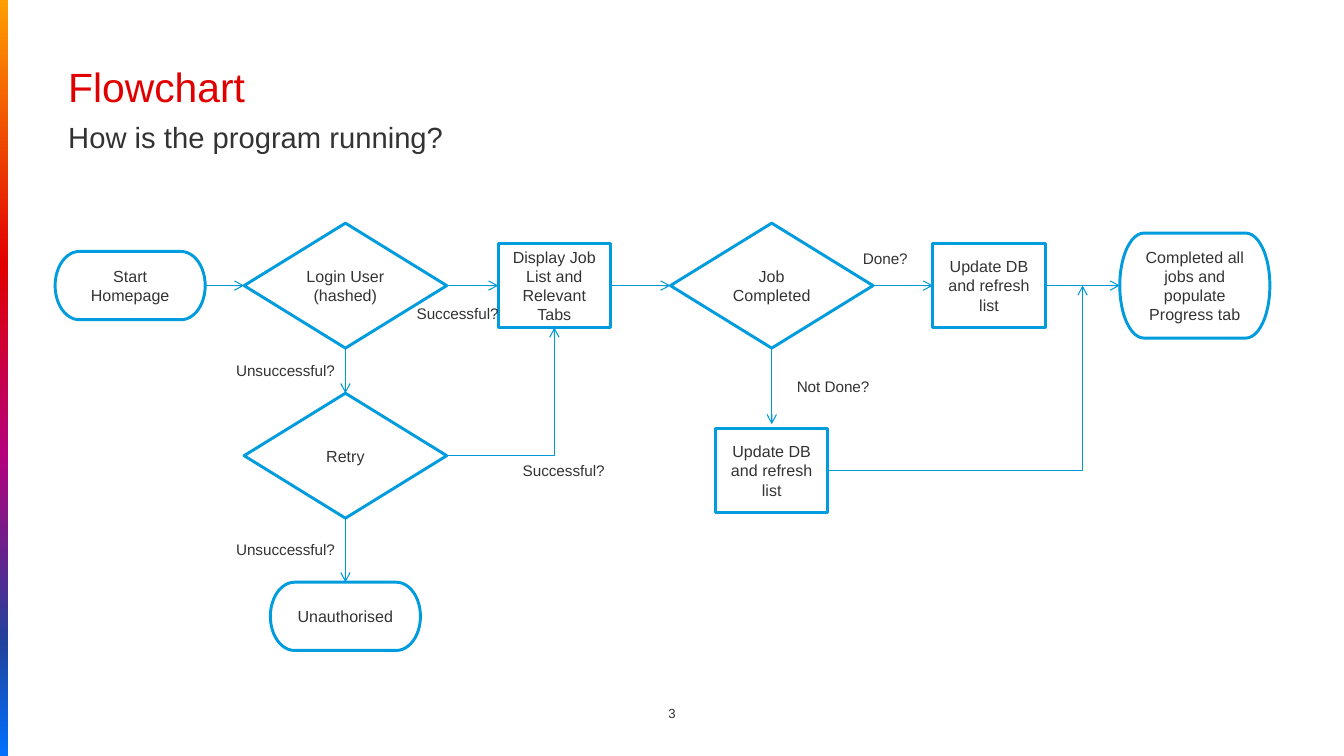
"""Builds the flowchart slide that shows how the program runs."""
import pptx
import pptx.dml.color
import pptx.enum.shapes
import pptx.enum.text
import pptx.oxml
import pptx.oxml.ns
import pptx.util
from lxml import etree

RGB = pptx.dml.color.RGBColor
RED = RGB(0xE1, 0x00, 0x00)
INK = RGB(0x33, 0x33, 0x33)
WHITE = RGB(0xFF, 0xFF, 0xFF)
OUTLINE = RGB(0x00, 0x9C, 0xDD)
ARROW = RGB(0x00, 0x99, 0xD8)
RAINBOW = [(0, RGB(0xFF, 0x9E, 0x00)), (35, RED), (60, RGB(0xB5, 0x00, 0x7D)),
           (85, RGB(0x21, 0x42, 0x9C)), (100, RGB(0x00, 0x71, 0xFF))]

SHAPE = pptx.enum.shapes.MSO_SHAPE
LINK = pptx.enum.shapes.MSO_CONNECTOR
ANCHOR = pptx.enum.text.MSO_ANCHOR
ALIGN = pptx.enum.text.PP_ALIGN
qn = pptx.oxml.ns.qn

deck = pptx.Presentation()
deck.slide_width = pptx.util.Inches(12.8)
deck.slide_height = pptx.util.Inches(7.2)
COL = deck.slide_width / 128
ROW = deck.slide_height / 72
slide = deck.slides.add_slide(deck.slide_layouts[5])


def grid(left, top, width, height):
    return [round(left * COL), round(top * ROW), round(width * COL), round(height * ROW)]


def write(paragraph, wording, size, color=INK):
    run = paragraph.add_run()
    run.text = wording
    run.font.size = pptx.util.Pt(size)
    run.font.name = "Arial"
    run.font.color.rgb = color


rainbow_bar = slide.shapes.add_shape(SHAPE.RECTANGLE, *grid(0, 0, 0.8, 72))
rainbow_bar.shadow.inherit = False
rainbow_bar.line.fill.background()
rainbow_bar.fill.gradient()
rainbow_bar.fill.gradient_angle = 270
stops = rainbow_bar.element.spPr.find(".//" + qn("a:gsLst"))
for stop in list(stops):
    stops.remove(stop)
for share, color in RAINBOW:
    stop = etree.SubElement(stops, qn("a:gs"), pos=str(share * 1000))
    etree.SubElement(stop, qn("a:srgbClr"), val=str(color))

heading = slide.shapes.title
heading.left, heading.top, heading.width, heading.height = grid(6.5, 6.4, 114.9, 11.1)
frame = heading.text_frame
frame.margin_left = frame.margin_top = frame.margin_right = frame.margin_bottom = 0
frame.vertical_anchor = ANCHOR.TOP
frame.auto_size = pptx.enum.text.MSO_AUTO_SIZE.NONE
heading_line = frame.paragraphs[0]
heading_line.alignment = ALIGN.LEFT
heading_line.line_spacing = pptx.util.Pt(30)
write(heading_line, "Flowchart", 28, RED)
heading_line.add_line_break()
write(heading_line, "How is the program running?", 20)

DECISION = SHAPE.FLOWCHART_DECISION, 19.3, 11.9
PROCESS = SHAPE.FLOWCHART_PROCESS, 10.7, 8
TERMINAL = SHAPE.FLOWCHART_TERMINATOR, 14.3, 6.5
TALL_TERMINAL = SHAPE.FLOWCHART_TERMINATOR, 14.3, 10
MAIN_ROW = 27.2
LOGIN_COL, JOB_COL = 32.9, 73.5
steps = {
    "start": (TERMINAL, 12.4, MAIN_ROW, "Start Homepage"),
    "login": (DECISION, LOGIN_COL, MAIN_ROW, "Login User (hashed)"),
    "display": (PROCESS, 52.8, MAIN_ROW, "Display Job List and Relevant Tabs"),
    "job": (DECISION, JOB_COL, MAIN_ROW, "Job Completed"),
    "update": (PROCESS, 94.2, MAIN_ROW, "Update DB and refresh list"),
    "completed": (TALL_TERMINAL, 113.8, MAIN_ROW,
                  "Completed all jobs and populate Progress tab"),
    "retry": (DECISION, LOGIN_COL, 43.4, "Retry"),
    "unauthorised": (TERMINAL, LOGIN_COL, 58.7, "Unauthorised"),
    "undone": (PROCESS, JOB_COL, 44.8, "Update DB and refresh list"),
}
nodes = {}
for key, ((outline, width, height), center, middle, wording) in steps.items():
    node = slide.shapes.add_shape(
        outline, *grid(center - width / 2, middle - height / 2, width, height))
    node.shadow.inherit = False
    node.fill.solid()
    node.fill.fore_color.rgb = WHITE
    node.line.color.rgb = OUTLINE
    node.line.width = pptx.util.Pt(2)
    node.text_frame.vertical_anchor = ANCHOR.MIDDLE
    node.text_frame.paragraphs[0].alignment = ALIGN.CENTER
    write(node.text_frame.paragraphs[0], wording, 11)
    nodes[key] = node

TOP, LEFT, BOTTOM, RIGHT = range(4)
flows = [
    ("start", RIGHT, "login", LEFT),
    ("login", RIGHT, "display", LEFT),
    ("display", RIGHT, "job", LEFT),
    ("job", RIGHT, "update", LEFT),
    ("update", RIGHT, "completed", LEFT),
    ("login", BOTTOM, "retry", TOP),
    ("retry", BOTTOM, "unauthorised", TOP),
    ("retry", RIGHT, "display", BOTTOM),
]
arrows = []
for source, exit_side, target, entry_side in flows:
    bends = exit_side == RIGHT and entry_side == BOTTOM
    arrow = slide.shapes.add_connector(LINK.ELBOW if bends else LINK.STRAIGHT, 0, 0, 0, 0)
    arrow.begin_connect(nodes[source], exit_side)
    arrow.end_connect(nodes[target], entry_side)
    arrows.append(arrow)
for kind, start, end in [
    (LINK.STRAIGHT, (JOB_COL, 33.1), (JOB_COL, 40.4)),
    (LINK.ELBOW, (78.9, 44.8), (103.1, MAIN_ROW)),
]:
    arrows.append(slide.shapes.add_connector(kind, *grid(*start, *end)))
for arrow in arrows:
    arrow.line.color.rgb = ARROW
    arrow.line.width = pptx.util.Pt(0.75)
    properties = arrow.element.spPr
    etree.SubElement(properties.find(qn("a:ln")), qn("a:tailEnd"), type="arrow")
    etree.SubElement(properties, qn("a:effectLst"))
    geometry = properties.find(qn("a:prstGeom"))
    if geometry.get("prst") == "bentConnector3":
        geometry.set("prst", "bentConnector2")

captions = [
    ("Unsuccessful?", 20.3, 33.9, 12.6, ALIGN.RIGHT, 10.5),
    ("Unsuccessful?", 20.3, 51, 12.6, ALIGN.RIGHT, 10.5),
    ("Successful?", 48.8, 43.4, 12.6, ALIGN.LEFT, 10.5),
    ("Successful?", 38.7, 28.5, 12.6, ALIGN.LEFT, 10.5),
    ("Done?", 81.2, 23.2, 12.6, ALIGN.LEFT, 10.5),
    ("Not Done?", 74.9, 35.4, 12.6, ALIGN.LEFT, 10.5),
    ("3", 60.6, 66.7, 6.8, ALIGN.CENTER, 9),
]
for wording, left, top, width, alignment, size in captions:
    caption = slide.shapes.add_textbox(*grid(left, top, width, 2.8))
    caption.text_frame.word_wrap = True
    caption.text_frame.paragraphs[0].alignment = alignment
    write(caption.text_frame.paragraphs[0], wording, size)

deck.save("out.pptx")
